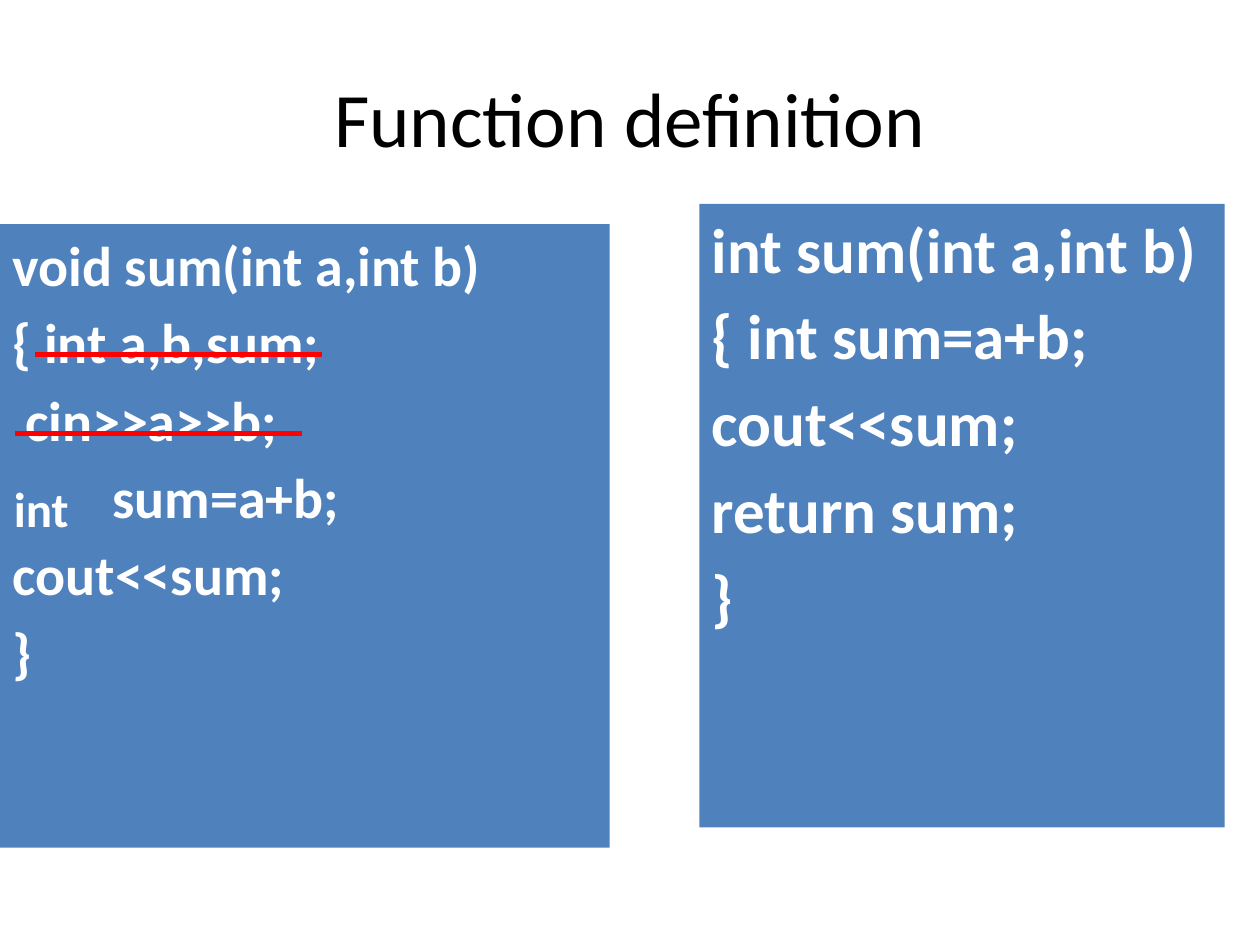
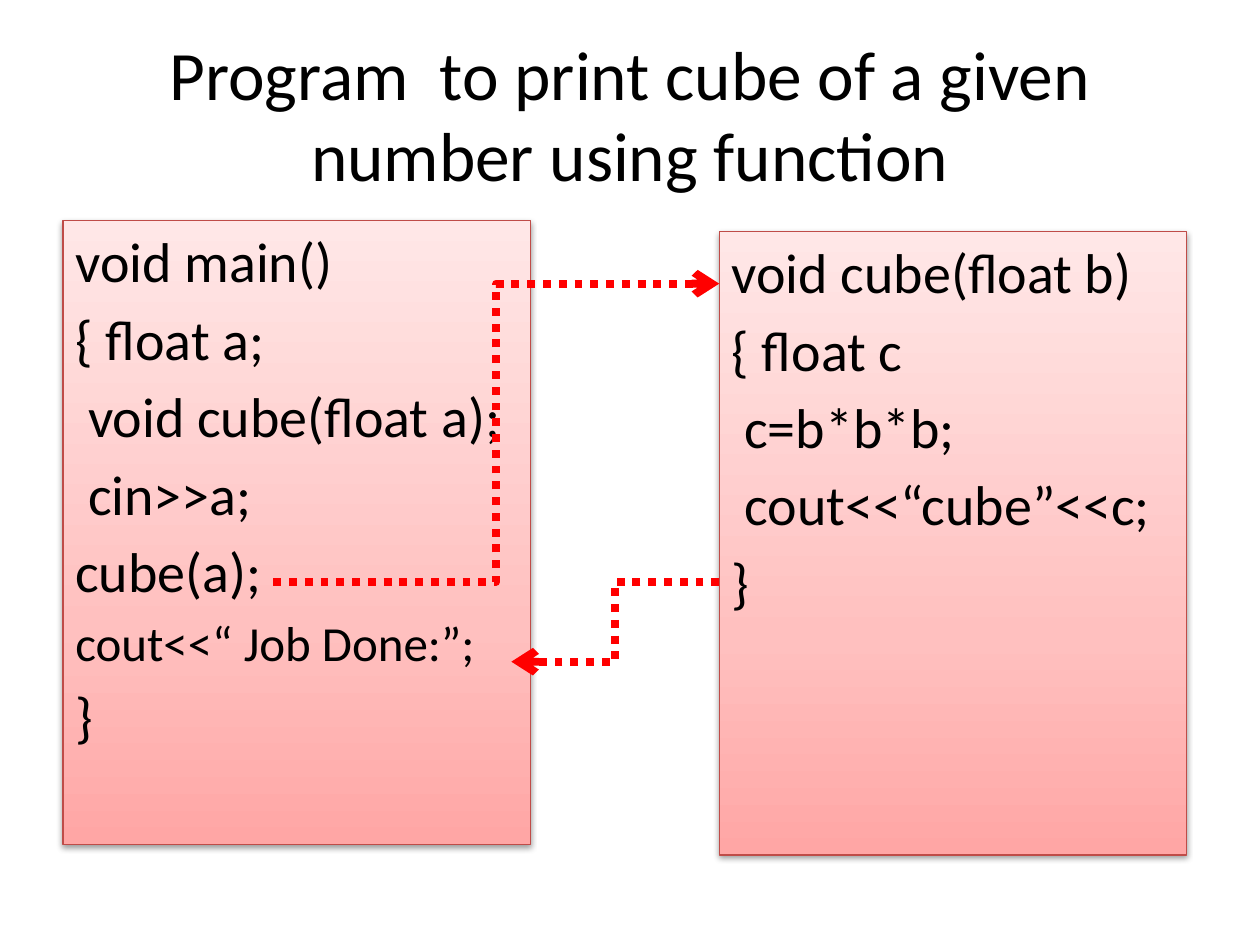
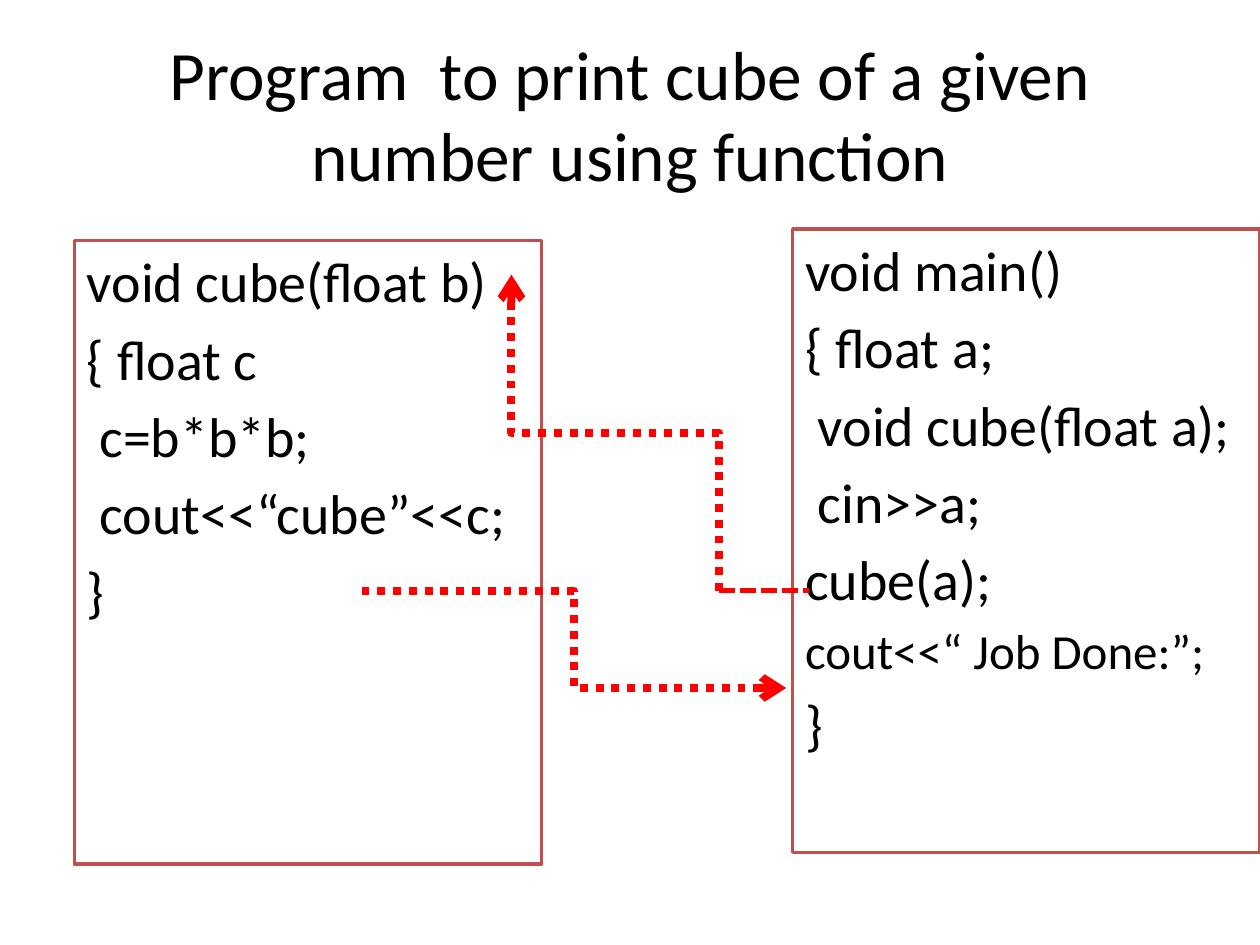
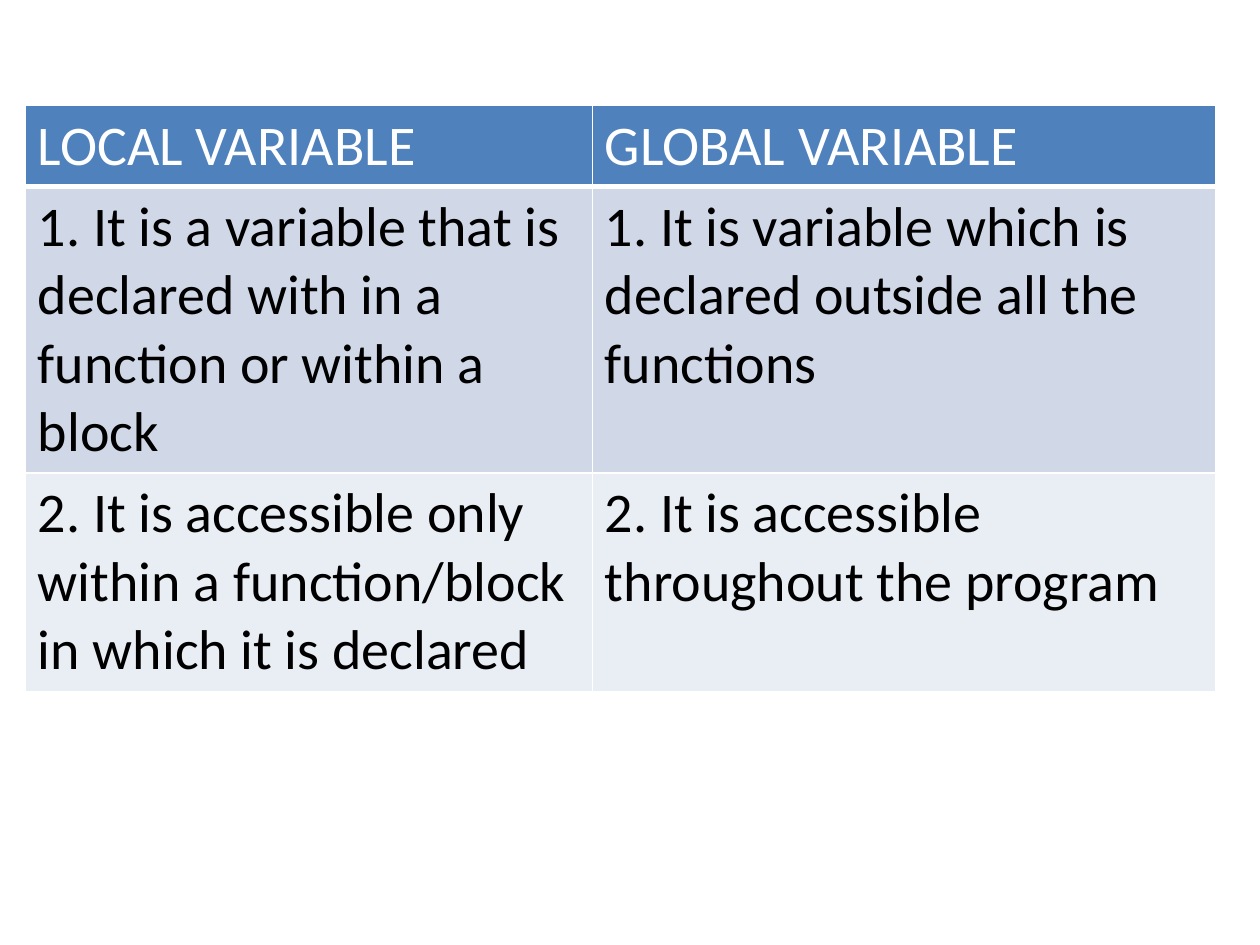
from copy import deepcopy

from lxml.etree import SubElement
from pptx import Presentation
from pptx.dml.color import RGBColor
from pptx.enum.dml import MSO_LINE
from pptx.enum.shapes import MSO_CONNECTOR, MSO_SHAPE
from pptx.enum.text import MSO_ANCHOR, MSO_AUTO_SIZE, PP_ALIGN
from pptx.oxml.ns import qn
from pptx.util import Cm, Pt

FONT = "Calibri"
BLACK, WHITE, RED, BLUE = "000000", "FFFFFF", "FF0000", "4F81BD"
PINK_STOPS = [(0, "FFA6A5"), (0.35, "FFC0BF"), (1, "FFE7E7")]
TITLE_BOX = (1.27, 0.76, 22.86, 3.18)
CODE_SIZE = (9.42, 12.57)
SPACE_RATIO = 0.18  # paragraph gap as a share of the text size

CUBE_TITLE = "Program  to print cube of a given number using function"
MAIN_CODE = ["void main()", "{ float a;", " void cube(float a);", " cin>>a;",
             "cube(a);", ("cout<<“ Job Done:”;", {"size": 28}), "}"]
CUBE_CODE = ["void cube(float b)", "{ float c", " c=b*b*b;",
             " cout<<“cube”<<c;", "}"]


def color(value):
    return RGBColor.from_string(value)


def lengths(values):
    return [Cm(value) for value in values]


def write(para, text, size=32, ink=BLACK, bold=False, align=None, before=0,
          spacing=None, indent=0):
    span = para.add_run()
    span.text = text
    span.font.name, span.font.size, span.font.bold = FONT, Pt(size), bold
    span.font.color.rgb = color(ink)
    para.alignment = align
    para.space_before = Pt(round(before, 1))
    if spacing:
        para.line_spacing = spacing
    if indent:
        para._p.get_or_add_pPr().set("marL", str(Cm(indent)))


# Shared parts

def add_title(page, text, **look):
    frame = page.shapes.add_textbox(*lengths(TITLE_BOX)).text_frame
    frame.word_wrap = True
    frame.vertical_anchor = MSO_ANCHOR.MIDDLE
    write(frame.paragraphs[0], text, align=PP_ALIGN.CENTER, **look)


def add_code(page, box, lines, fill=None, edge=None, **look):
    """Draw a filled box with one paragraph for each line of code."""
    panel = page.shapes.add_shape(MSO_SHAPE.RECTANGLE, *lengths(box))
    panel.shadow.inherit = False
    if fill:
        panel.fill.solid()
        panel.fill.fore_color.rgb = color(fill)
    else:
        fill_pink(panel)
    if edge:
        panel.line.color.rgb = color(edge[0])
        panel.line.width = Pt(edge[1])
    else:
        panel.line.fill.background()
    frame = panel.text_frame
    frame.word_wrap = True
    frame.vertical_anchor = MSO_ANCHOR.TOP
    for index, line in enumerate(lines):
        text, change = (line, {}) if isinstance(line, str) else line
        para = frame.add_paragraph() if index else frame.paragraphs[0]
        style = {"size": 32, **look, **change}
        write(para, text, align=PP_ALIGN.LEFT,
              before=style["size"] * SPACE_RATIO, **style)


def fill_pink(panel):
    """Give a panel the three-stop pink gradient and a soft shadow."""
    panel.fill.gradient()
    panel.fill.gradient_angle = 90
    properties = panel._element.spPr
    stop_list = properties.find(".//" + qn("a:gsLst"))
    stop_list.append(deepcopy(stop_list[0]))
    for stop, (position, value) in zip(panel.fill.gradient_stops, PINK_STOPS):
        stop.position = position
        stop.color.rgb = color(value)
    shadow = SubElement(properties.find(qn("a:effectLst")), qn("a:outerShdw"),
                        blurRad="40000", dist="20000", dir="5400000",
                        rotWithShape="0")
    ink = SubElement(shadow, qn("a:srgbClr"), val=BLACK)
    SubElement(ink, qn("a:alpha"), val="38000")


def add_line(page, start, end, kind=MSO_CONNECTOR.STRAIGHT, width=3,
             dash=None, arrow=False):
    line = page.shapes.add_connector(kind, *lengths((*start, *end)))
    line.line.color.rgb = color(RED)
    line.line.width = Pt(width)
    if dash:
        line.line.dash_style = dash
    properties = line._element.spPr
    if arrow:
        SubElement(properties.find(qn("a:ln")), qn("a:tailEnd"), type="arrow")
    SubElement(properties, qn("a:effectLst"))
    return line


def add_flow(page, start, end, upright=False):
    """Draw a dotted elbow arrow; an upright one leaves vertically."""
    if upright:
        middle_x, middle_y = [(a + b) / 2 for a, b in zip(start, end)]
        start, end = [(middle_x - (y - middle_y), middle_y + (x - middle_x))
                      for x, y in (start, end)]
    line = add_line(page, start, end, MSO_CONNECTOR.ELBOW, 4.5,
                    MSO_LINE.ROUND_DOT, True)
    if upright:
        line._element.spPr.find(qn("a:xfrm")).set("rot", "16200000")


# Slides

def definition_page(page, left_box, right_box):
    add_title(page, "Function definition", size=44)
    add_code(page, left_box,
             ["void sum(int a,int b)", "{ int a,b,sum;", " cin>>a>>b;",
              ("sum=a+b;", {"indent": 2.02}), "cout<<sum;", "}"],
             fill=BLUE, ink=WHITE, bold=True)
    # Struck-out lines and the added type
    left, top = left_box[:2]
    for x, y in ((0.3, 4.22), (0.71, 2.62)):
        add_line(page, (left + x + 5.79, top + y), (left + x, top + y))
    label = page.shapes.add_textbox(
        *lengths((left + 0.03, top + 5.01, 2.41, 1.45)))
    label.text_frame.word_wrap = True
    label.text_frame.auto_size = MSO_AUTO_SIZE.SHAPE_TO_FIT_TEXT
    write(label.text_frame.paragraphs[0], "int", size=28, ink=WHITE, bold=True)
    add_code(page, right_box,
             ["int sum(int a,int b)", "{ int sum=a+b;", "cout<<sum;",
              "return sum;", "}"],
             fill=BLUE, size=36, ink=WHITE, bold=True)


def cube_page(page, main_corner, cube_corner, **look):
    add_title(page, CUBE_TITLE, size=39.6, spacing=0.97)
    add_code(page, (*main_corner, *CODE_SIZE), MAIN_CODE, **look)
    add_code(page, (*cube_corner, *CODE_SIZE), CUBE_CODE, **look)


def main_first_page(page, main_corner, cube_corner):
    cube_page(page, main_corner, cube_corner, edge=("BF4C48", 0.75))
    left, top = main_corner
    right = cube_corner[0]
    add_flow(page, (left + 4.24, top + 7.28), (right, top + 1.27))
    add_flow(page, (right, top + 7.28), (left + 9.04, top + 8.89))


def cube_first_page(page, main_corner, cube_corner):
    cube_page(page, main_corner, cube_corner, fill=WHITE, edge=("C0504D", 2))
    left, top = cube_corner
    call = (left + 13, top + 7.06)
    add_flow(page, call, (left + 8.81, top + 0.69), upright=True)
    add_flow(page, (left + 5.79, top + 7.06), (left + 14.35, top + 9.02))
    add_line(page, call, (call[0] + 1.81, call[1]), dash=MSO_LINE.SQUARE_DOT)


def add_borders(cell, bottom):
    properties = cell._tc.get_or_add_tcPr()
    for side, width in (("L", 1), ("R", 1), ("T", 1), ("B", bottom)):
        border = SubElement(properties, qn("a:ln" + side), w=str(Pt(width)))
        SubElement(SubElement(border, qn("a:solidFill")), qn("a:srgbClr"),
                   val=WHITE)


def variables_page(page, box):
    rows = [
        ("LOCAL VARIABLE", "GLOBAL VARIABLE"),
        ("1. It is a variable that is declared with in a function or within a block",
         "1. It is variable which is declared outside all the functions"),
        ("2. It is accessible only within a function/block in which it is declared",
         "2. It is accessible throughout the program"),
    ]
    fills = (BLUE, "D0D8E8", "E9EDF4")
    table = page.shapes.add_table(len(rows), 2, *lengths(box)).table
    for column, width in zip(table.columns, (11.43, 12.57)):
        column.width = Cm(width)
    for row, height in zip(table.rows, (1.63, 5.69, 4.29)):
        row.height = Cm(height)
    for index, (texts, fill) in enumerate(zip(rows, fills)):
        for cell, text in zip(table.rows[index].cells, texts):
            add_borders(cell, 1 if index else 3)
            cell.fill.solid()
            cell.fill.fore_color.rgb = color(fill)
            write(cell.text_frame.paragraphs[0], text,
                  ink=BLACK if index else WHITE)


def main():
    deck = Presentation()
    deck.slide_width, deck.slide_height = Cm(25.4), Cm(19.05)
    pages = [
        (definition_page, (0, 4.52, 12.29, 12.57), (14.1, 4.11, 10.59, 12.57)),
        (main_first_page, (1.27, 4.45), (14.5, 4.67)),
        (cube_first_page, (15.98, 4.62), (1.5, 4.85)),
        (variables_page, (0.51, 2.13, 24, 11.61)),
    ]
    for build, *boxes in pages:
        build(deck.slides.add_slide(deck.slide_layouts[6]), *boxes)
    deck.save("out.pptx")


if __name__ == "__main__":
    main()
